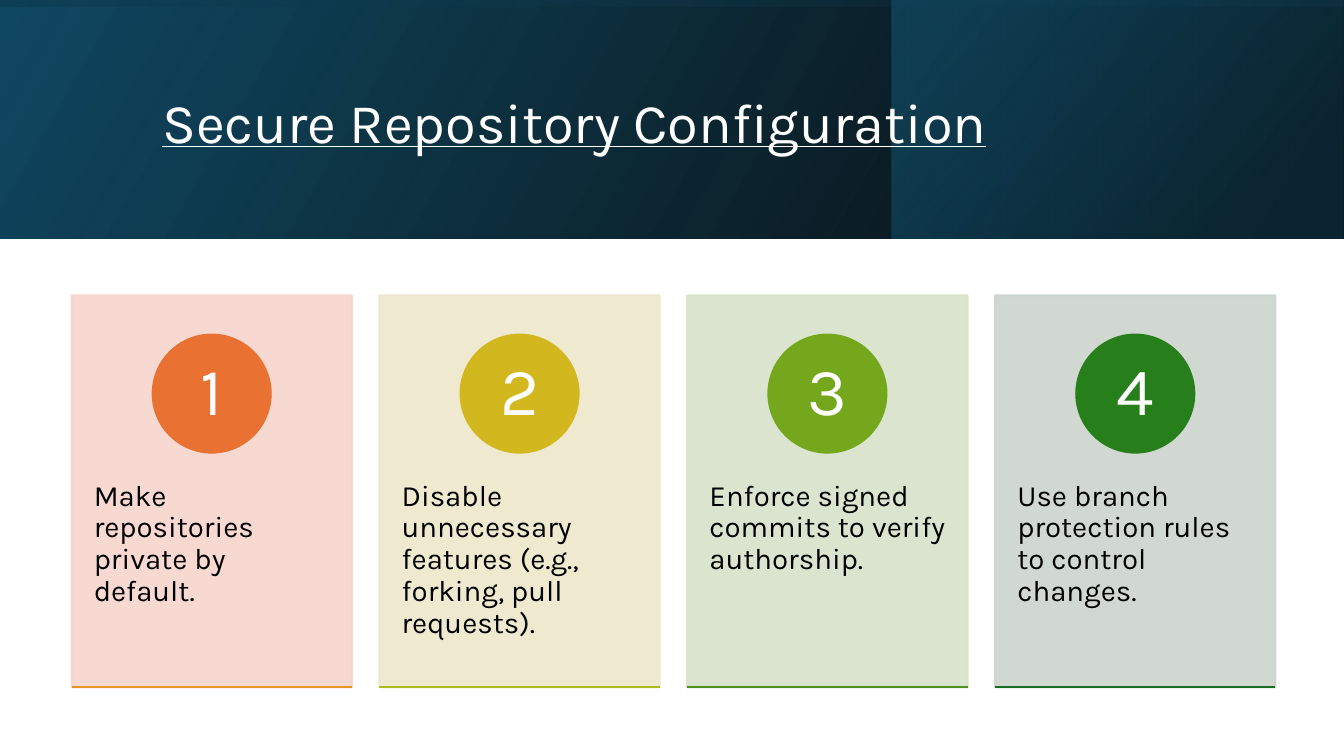
from lxml import etree
from pptx import Presentation
from pptx.dml.color import RGBColor
from pptx.enum.shapes import MSO_CONNECTOR, MSO_SHAPE
from pptx.enum.text import MSO_ANCHOR, PP_ALIGN
from pptx.oxml import parse_xml
from pptx.oxml.ns import nsdecls, qn
from pptx.util import Inches, Pt

TITLE = "Secure Repository Configuration"
# description, card, circle and baseline colours
CARDS = [
    ("Make repositories private by default.", "F7D5CE", "E97132", "E49622"),
    ("Disable unnecessary features (e.g., forking, pull requests).", "EEE7CB", "D2B81E", "ABBC1E"),
    ("Enforce signed commits to verify authorship.", "D8E2CA", "75A71D", "49931D"),
    ("Use branch protection rules to control changes.", "CCD4CD", "277F1B", "196B24"),
]
# box, rotation, gradient angle, stops of (position, colour, opacity) in percent
BANDS = [
    ((0, 0, 13.33, 2.37), 0, 330, [(0, "000000", 96), (100, "104862", 100)]),
    ((8.84, 0, 4.48, 2.37), 0, 320, [(19, "0B3041", 68), (100, "156082", 48)]),
    ((5.48, -5.48, 2.37, 13.33), 270, 350, [(23, "104862", 16), (99, "000000", 45)]),
]
COLORS = {"title": "FFFFFF", "number": "FFFFFF", "body": "000000"}
FONT = "Karla"

CARD_LEFT, CARD_TOP, CARD_WIDTH, CARD_HEIGHT = 0.71, 2.93, 2.78, 3.89
LAST_CARD_LEFT = 9.87
CARD_PITCH = (LAST_CARD_LEFT - CARD_LEFT) / (len(CARDS) - 1)
CIRCLE_TOP, CIRCLE_SIZE = 3.32, 1.17
BODY_TOP, BODY_HEIGHT = 4.41, 2.33


def inches(*lengths):
    return [Inches(length) for length in lengths]


def add_plain_shape(slide, kind, box):
    shape = slide.shapes.add_shape(kind, *inches(*box))
    shape.shadow.inherit = False
    return shape


def color_shape(shape, color, opacity=100):
    """Give fill and outline one colour and one opacity."""
    shape.fill.solid()
    shape.line.width = Pt(1.5)
    for fill in (shape.fill, shape.line.fill):
        fill.solid()
        fill.fore_color.rgb = RGBColor.from_string(color)
    if opacity < 100:
        for color_element in shape._element.spPr.iter(qn("a:srgbClr")):
            etree.SubElement(color_element, qn("a:alpha")).set("val", str(opacity * 1000))


def add_band(slide, box, rotation, angle, stops):
    """Add a mirrored rectangle with a translucent gradient."""
    band = add_plain_shape(slide, MSO_SHAPE.RECTANGLE, box)
    band.rotation = rotation
    band.line.fill.background()
    properties = band._element.spPr
    properties.find(qn("a:xfrm")).set("flipH", "1")
    stop_xml = "".join(
        f'<a:gs pos="{position * 1000}"><a:srgbClr val="{color}">'
        f'<a:alpha val="{opacity * 1000}"/></a:srgbClr></a:gs>'
        for position, color, opacity in stops
    )
    gradient = parse_xml(
        f'<a:gradFill {nsdecls("a")} rotWithShape="1"><a:gsLst>{stop_xml}</a:gsLst>'
        f'<a:lin ang="{angle * 60000}" scaled="0"/></a:gradFill>'
    )
    properties.find(qn("a:prstGeom")).addnext(gradient)


def write_text(shape, text, size, color, alignment, anchor, margins):
    frame = shape.text_frame
    frame.word_wrap = True
    frame.vertical_anchor = anchor
    frame.margin_left, frame.margin_top, frame.margin_right, frame.margin_bottom = inches(*margins)
    frame.text = text
    paragraph = frame.paragraphs[0]
    paragraph.alignment = alignment
    paragraph.line_spacing = 0.9
    paragraph.space_before = Pt(0)
    font = paragraph.runs[0].font
    font.name, font.size = FONT, Pt(size)
    font.color.rgb = RGBColor.from_string(color)
    return font


def add_card(slide, number, left, description, card_color, circle_color, baseline_color):
    card = add_plain_shape(slide, MSO_SHAPE.RECTANGLE, (left, CARD_TOP, CARD_WIDTH, CARD_HEIGHT))
    color_shape(card, card_color, 90)

    body = slide.shapes.add_textbox(*inches(left, BODY_TOP, CARD_WIDTH, BODY_HEIGHT))
    write_text(body, description, 21, COLORS["body"], PP_ALIGN.LEFT, MSO_ANCHOR.TOP,
               (0.22, 0.36, 0.22, 0.36))

    circle_left = left + (CARD_WIDTH - CIRCLE_SIZE) / 2
    circle = add_plain_shape(slide, MSO_SHAPE.OVAL, (circle_left, CIRCLE_TOP, CIRCLE_SIZE, CIRCLE_SIZE))
    color_shape(circle, circle_color)
    write_text(circle, str(number), 48, COLORS["number"], PP_ALIGN.CENTER, MSO_ANCHOR.MIDDLE,
               (0.09, 0.01, 0.09, 0.01))

    bottom = CARD_TOP + CARD_HEIGHT
    baseline = slide.shapes.add_connector(
        MSO_CONNECTOR.STRAIGHT, *inches(left, bottom, left + CARD_WIDTH, bottom))
    baseline.line.width = Pt(1.5)
    baseline.line.color.rgb = RGBColor.from_string(baseline_color)
    etree.SubElement(baseline._element.spPr, qn("a:effectLst"))


def main():
    presentation = Presentation()
    presentation.slide_width, presentation.slide_height = inches(13.33, 7.5)
    slide = presentation.slides.add_slide(presentation.slide_layouts[5])

    for band in BANDS:
        add_band(slide, *band)

    title = slide.shapes.title
    title.left, title.top, title.width, title.height = inches(1.51, 0.38, 10.63, 1.72)
    font = write_text(title, TITLE, 40, COLORS["title"], PP_ALIGN.LEFT, MSO_ANCHOR.MIDDLE,
                      (0.1, 0.05, 0.1, 0.05))
    font.underline = True
    slide.shapes._spTree.append(title._element)  # in front of the bands

    for index, card in enumerate(CARDS):
        add_card(slide, index + 1, CARD_LEFT + index * CARD_PITCH, *card)

    presentation.save("out.pptx")


if __name__ == "__main__":
    main()
